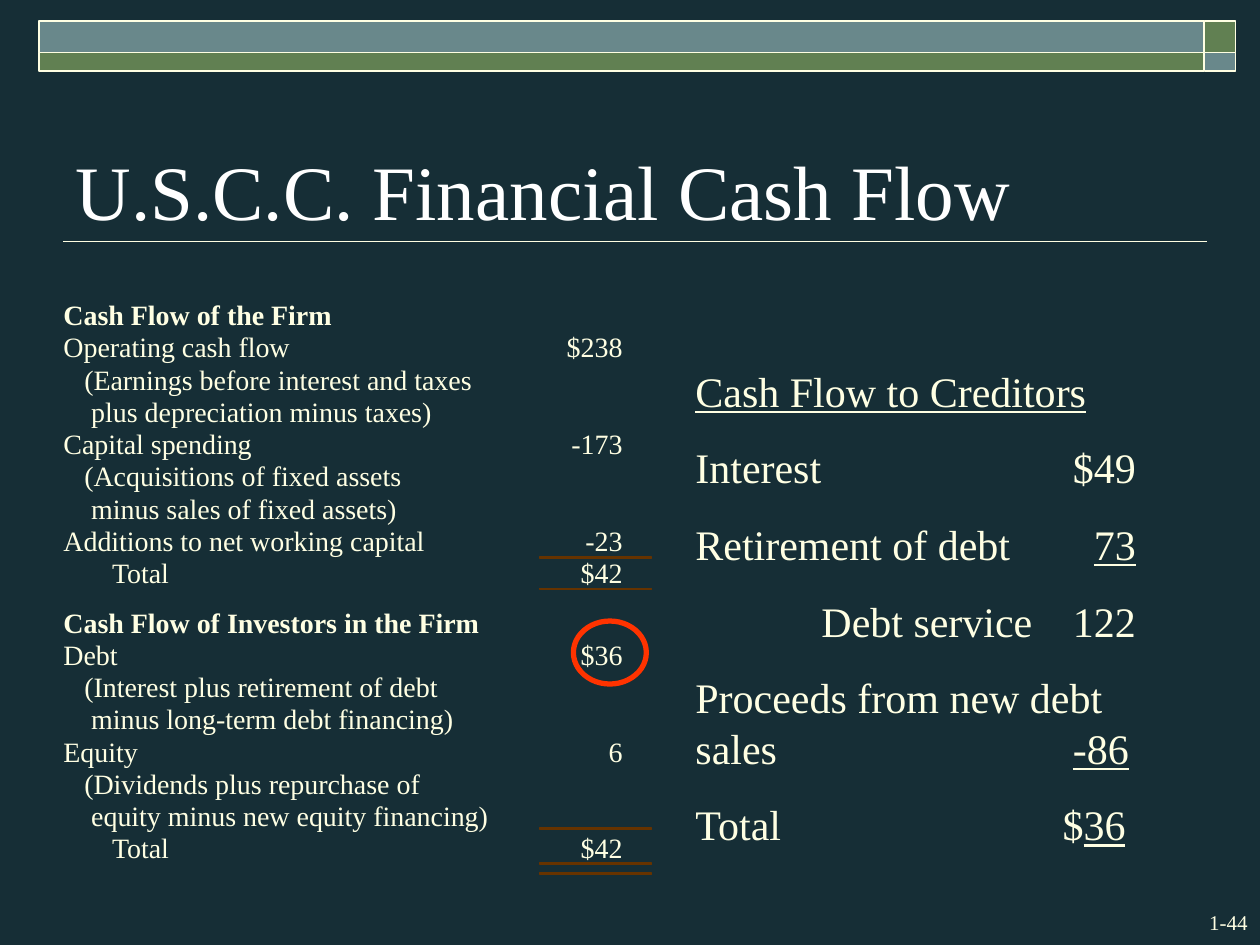
from dataclasses import dataclass

from lxml import etree
from pptx import Presentation
from pptx import util as u
from pptx.dml import color
from pptx.enum import shapes, text
from pptx.oxml import ns


@dataclass(frozen=True)
class Theme:
    face: str = "Times New Roman"
    ground: str = "162E36"
    ink: str = "FFFFE3"
    heading: str = "FFFFFF"
    teal: str = "69888B"
    green: str = "618052"
    rule: str = "663300"
    rule_core: str = "000000"
    ring: str = "FF3300"
    title_size: int = 44
    creditor_size: int = 24
    statement_size: int = 16
    number_size: int = 12


theme = Theme()


def write(paragraph, words, size, ink=theme.ink, **formats):
    run = paragraph.add_run()
    run.text = words
    run.font.color.rgb = color.RGBColor.from_string(ink)
    for key, value in {"name": theme.face, "size": u.Pt(size), **formats}.items():
        setattr(run.font, key, value)


def draw(kind, left, top, width, height, line, weight, fill=None):
    shape = slide.shapes.add_shape(kind, u.Cm(left), u.Cm(top), u.Cm(width), u.Cm(height))
    shape.shadow.inherit = False
    if fill:
        shape.fill.solid()
        shape.fill.fore_color.rgb = color.RGBColor.from_string(fill)
    else:
        shape.fill.background()
    shape.line.color.rgb = color.RGBColor.from_string(line)
    shape.line.width = u.Pt(weight)


deck = Presentation()
deck.slide_width, deck.slide_height = u.Cm(25.4), u.Cm(19.05)
slide = deck.slides.add_slide(deck.slide_layouts[5])
slide.background.fill.solid()
slide.background.fill.fore_color.rgb = color.RGBColor.from_string(theme.ground)

title_rule = slide.shapes.add_connector(
    shapes.MSO_CONNECTOR.STRAIGHT, u.Cm(24.33), u.Cm(4.87), u.Cm(1.27), u.Cm(4.87))
title_rule.line.color.rgb = color.RGBColor.from_string(theme.ink)
title_rule.line.width = u.Pt(1)
etree.SubElement(title_rule.element.spPr, ns.qn("a:effectLst"))

for left, width, fills in [(24.28, 0.63, (theme.green, theme.teal)),
                           (0.78, 23.5, (theme.teal, theme.green))]:
    for top, height, fill in zip((0.42, 1.06), (0.64, 0.38), fills):
        draw(shapes.MSO_SHAPE.RECTANGLE, left, top, width, height, theme.ink, 1, fill)

title = slide.shapes.title
title_place = {"left": u.Cm(1.27), "top": u.Cm(1.7), "width": u.Cm(22.17), "height": u.Cm(3.18)}
for key, value in title_place.items():
    setattr(title, key, value)
title_frame = {"vertical_anchor": text.MSO_ANCHOR.BOTTOM,
               "auto_size": text.MSO_AUTO_SIZE.NONE, "word_wrap": True}
for key, value in title_frame.items():
    setattr(title.text_frame, key, value)
title_line = title.text_frame.paragraphs[0]
title_line.alignment = text.PP_ALIGN.LEFT
write(title_line, "U.S.C.C. Financial Cash Flow", theme.title_size, theme.heading)

creditors = slide.shapes.add_textbox(u.Cm(13.77), u.Cm(7.24), u.Cm(9.53), u.Cm(10)).text_frame
creditors.word_wrap = True
creditor_lines = [
    ("", "Cash Flow to Creditors", []),
    ("Interest\t$49", "", [(8.88, "r")]),
    ("Retirement of debt\t", "73", [(8.88, "r")]),
    ("\tDebt service\t122", "", [(2.54, "l"), (8.88, "r")]),
    ("Proceeds from new debt sales\t", "-86", [(8.74, "r")]),
    ("Total\t$", "36", [(8.67, "r")]),
]
for index, (plain, underlined, stops) in enumerate(creditor_lines):
    line = creditors.add_paragraph() if index else creditors.paragraphs[0]
    line.space_before = u.Pt(15)
    if stops:
        tab_list = etree.SubElement(line._p.get_or_add_pPr(), ns.qn("a:tabLst"))
        for position, side in stops:
            etree.SubElement(tab_list, ns.qn("a:tab"), pos=str(int(u.Cm(position))), algn=side)
    for words, underline in [(plain, False), (underlined, True)]:
        if words:
            write(line, words, theme.creditor_size, underline=underline)

firm = [
    (0, "Cash Flow of the Firm", ""),
    (0, "Operating cash flow", "$238"),
    (3, "(Earnings before interest and taxes", ""),
    (4, "plus depreciation minus taxes)", ""),
    (0, "Capital spending", "-173"),
    (3, "(Acquisitions of fixed assets", ""),
    (4, "minus sales of fixed assets)", ""),
    (0, "Additions to net working capital", "-23"),
    (7, "Total", "$42"),
]
investors = [
    (0, "Cash Flow of Investors in the Firm", ""),
    (0, "Debt", "$36"),
    (3, "(Interest plus retirement of debt", ""),
    (4, "minus long-term debt financing)", ""),
    (0, "Equity", "6"),
    (3, "(Dividends plus repurchase of", ""),
    (4, "equity minus new equity financing)", ""),
    (7, "Total", "$42"),
]
row_pitch = 0.65
indent_step = 0.14
page_number = (23.29, 18.21, 2.11, 0.76, "1-44", theme.number_size, False, True, (0.25, 0.13))
captions = [page_number]
for block_top, rows in [(6, firm), (12.2, investors)]:
    for index, (indent, label, amount) in enumerate(rows):
        top = block_top + index * row_pitch
        captions.append((1.28 + indent * indent_step, top, 9, 0.69, label,
                         theme.statement_size, index == 0, False, (0, 0)))
        if amount:
            captions.append((10.55, top, 2, 0.69, amount,
                             theme.statement_size, False, True, (0, 0)))

for left, top, width, height, words, size, bold, to_right, (side, edge) in captions:
    caption = slide.shapes.add_textbox(u.Cm(left), u.Cm(top), u.Cm(width), u.Cm(height))
    frame = {"word_wrap": True, "margin_left": u.Cm(side), "margin_right": u.Cm(side),
             "margin_top": u.Cm(edge), "margin_bottom": u.Cm(edge)}
    for key, value in frame.items():
        setattr(caption.text_frame, key, value)
    line = caption.text_frame.paragraphs[0]
    line.alignment = text.PP_ALIGN.RIGHT if to_right else text.PP_ALIGN.LEFT
    write(line, words, size, bold=bold)

draw(shapes.MSO_SHAPE.OVAL, 11.56, 12.52, 1.47, 1.27, theme.ring, 3)
for top in (11.23, 11.86, 16.69, 17.4, 17.6):
    draw(shapes.MSO_SHAPE.RECTANGLE, 10.87, top, 2.26, 0.03, theme.rule, 0.75, theme.rule_core)

deck.save("out.pptx")
